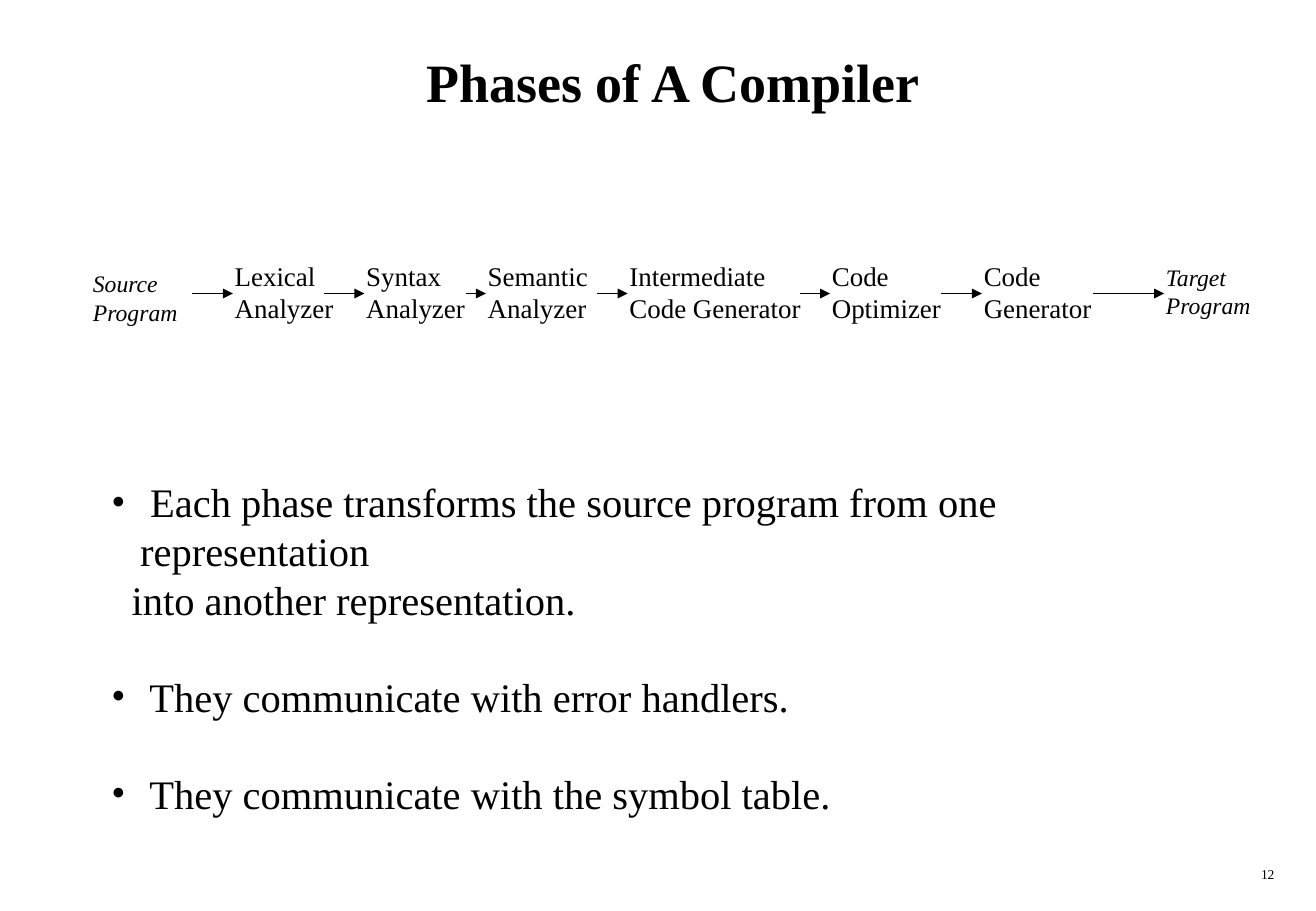
import pptx
import pptx.dml.color
import pptx.enum.shapes
import pptx.enum.text
import pptx.oxml
import pptx.oxml.ns
import pptx.util

Pt = pptx.util.Pt
ALIGN = pptx.enum.text.PP_ALIGN
ANCHOR = pptx.enum.text.MSO_ANCHOR
FONT = "Times New Roman"
BLACK = "000000"
LINE_RATIO = 1.2


def color(value):
    return pptx.dml.color.RGBColor.from_string(value)


def add_element(parent, tag, **attributes):
    element = pptx.oxml.parse_xml(f"<a:{tag} {pptx.oxml.ns.nsdecls('a')}/>")
    for name, value in attributes.items():
        element.set(name, str(value))
    parent.append(element)


def write(p, text, size=16, bold=False, italic=False, align=ALIGN.LEFT,
          before=0, margin=0, bullet=None):
    p.alignment = align
    p.line_spacing = Pt(size * LINE_RATIO)
    p.space_before = Pt(before)
    pPr = p._p.get_or_add_pPr()
    pPr.set("marL", str(Pt(margin)))
    pPr.set("indent", str(Pt(-margin if bullet else 0)))
    if bullet:
        add_element(pPr, "buFont", typeface=FONT)
        add_element(pPr, "buChar", char=bullet)
    r = p.add_run()
    r.text = text
    r.font.name = FONT
    r.font.size = Pt(size)
    r.font.bold = bold
    r.font.italic = italic
    r.font.color.rgb = color(BLACK)


def add_box(s, x, y, w, h, wrap=True, anchor=ANCHOR.TOP):
    tf = s.shapes.add_textbox(Pt(x), Pt(y), Pt(w), Pt(h)).text_frame
    tf.word_wrap = wrap
    tf.vertical_anchor = anchor
    return tf


def add_arrow(s, x1, x2, y):
    line = s.shapes.add_connector(
        pptx.enum.shapes.MSO_CONNECTOR.STRAIGHT, Pt(x1), Pt(y), Pt(x2), Pt(y))
    line.line.color.rgb = color(BLACK)
    line.line.width = Pt(0.75)
    add_element(line.line._get_or_add_ln(), "tailEnd", type="triangle")
    add_element(line._element.spPr, "effectLst")


def add_title(s, x, y, w, h):
    tf = add_box(s, x, y, w, h, anchor=ANCHOR.MIDDLE)
    write(tf.paragraphs[0], "Phases of A Compiler", size=32, bold=True, align=ALIGN.CENTER)


def add_pipeline(s, x, y, h):
    end_style = {"size": 14, "italic": True}
    stages = [
        (0, 6, 65, ("Source", "Program"), end_style),
        (84, 0, 73.5, ("Lexical", "Analyzer"), {}),
        (162, 0, 73.5, ("Syntax", "Analyzer"), {}),
        (234, 0, 78.5, ("Semantic", "Analyzer"), {}),
        (318, 0, 116.5, ("Intermediate", "Code Generator"), {}),
        (438, 0, 80, ("Code", "Optimizer"), {}),
        (528, 0, 90, ("Code", "Generator"), {}),
        (636, 2, 65, ("Target", "Program"), end_style),
    ]
    for dx, dy, w, lines, style in stages:
        tf = add_box(s, x + dx, y + dy, w, h, wrap=False)
        write(tf.paragraphs[0], lines[0], **style)
        write(tf.add_paragraph(), lines[1], **style)

    arrow_starts = [66, 144, 228, 306, 426, 510, 600]
    for start, stage in zip(arrow_starts, stages[1:]):
        add_arrow(s, x + start, x + stage[0] + 6, y + 24)


def add_points(s, x, y, w, h):
    size = 24
    gap = size * LINE_RATIO
    point = {"size": size, "margin": 17, "bullet": "•"}
    tf = add_box(s, x, y, w, h)
    write(tf.paragraphs[0],
          " Each phase transforms the source program from one representation", **point)
    write(tf.add_paragraph(), "into another representation.", size=size, margin=12)
    for text in (" They communicate with error handlers.",
                 " They communicate with the symbol table."):
        write(tf.add_paragraph(), text, before=gap, **point)


def add_page_number(s, x, y, w, h):
    tf = add_box(s, x, y, w, h)
    write(tf.paragraphs[0], "12", size=8, align=ALIGN.RIGHT)


def main():
    prs = pptx.Presentation()
    prs.slide_width = Pt(780)
    prs.slide_height = Pt(540)
    s = prs.slides.add_slide(prs.slide_layouts[6])
    add_title(s, 30, 12, 738, 72)
    add_pipeline(s, 48, 150, 46)
    add_points(s, 59, 279.5, 678, 180)
    add_page_number(s, 600, 510, 162.5, 18)
    prs.save("out.pptx")


if __name__ == "__main__":
    main()
